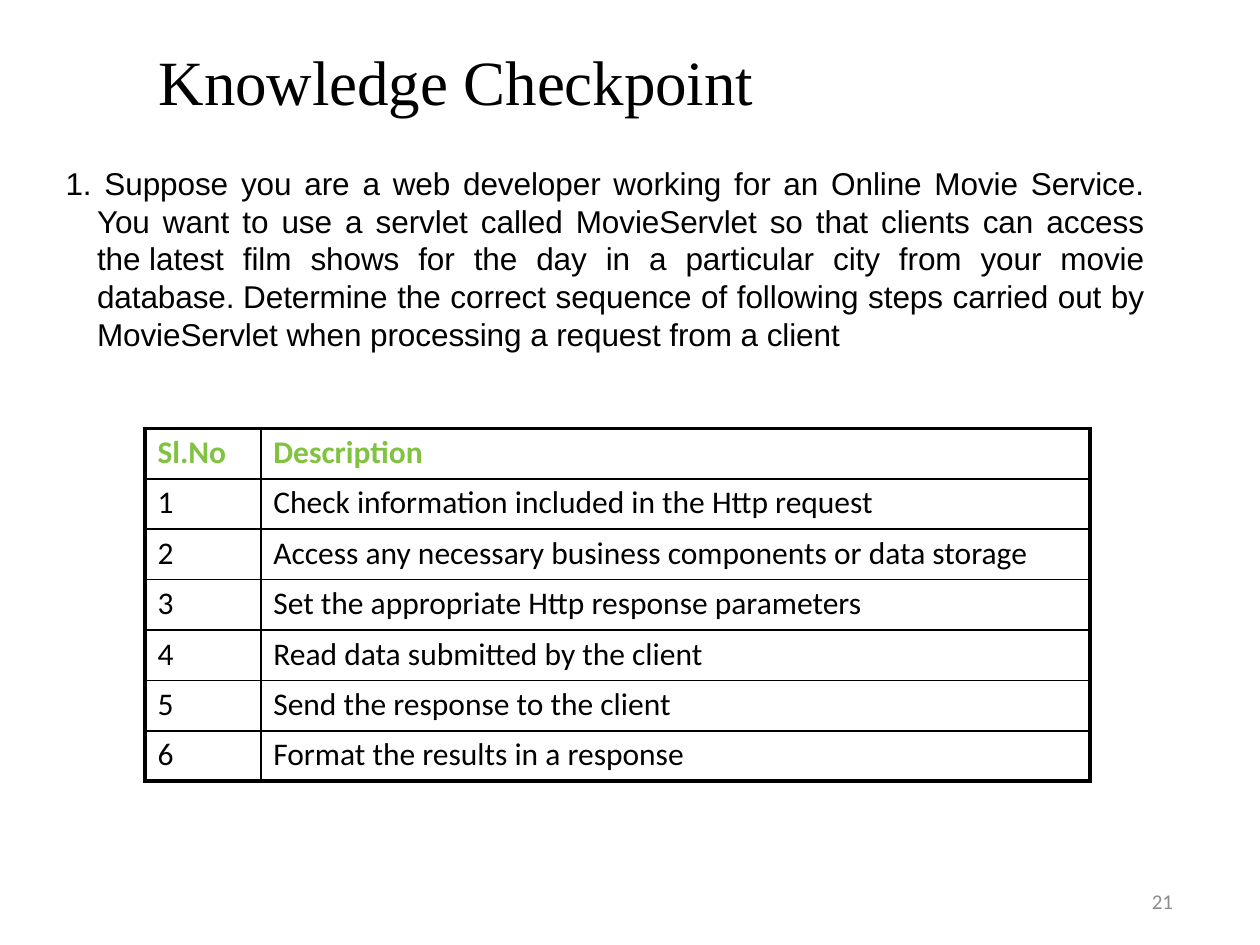
from pptx import Presentation
from pptx.dml.color import RGBColor
from pptx.enum.text import MSO_ANCHOR, PP_ALIGN
from pptx.oxml.ns import qn
from pptx.util import Inches, Pt
from lxml import etree

LEFT, RIGHT, JUSTIFY = PP_ALIGN.LEFT, PP_ALIGN.RIGHT, PP_ALIGN.JUSTIFY
TOP, MIDDLE = MSO_ANCHOR.TOP, MSO_ANCHOR.MIDDLE
TITLE_ONLY = 5

BLACK, GREEN, GREY = "000000", "81C240", "8C8C8C"
THICK, THIN = 2.25, 1
TIGHT = -0.05
NO_BREAK_SPACE = chr(160)

# No-break spaces keep the justified lines breaking before "the" and "database."
QUESTION = (
    "1. Suppose you are a web developer working for an Online Movie Service. "
    "You want to use a servlet called MovieServlet so that clients can access "
    f"the{NO_BREAK_SPACE}latest film shows for the day in a particular city from your movie "
    f"database.{NO_BREAK_SPACE}Determine the correct sequence of following steps carried out by "
    "MovieServlet when processing a request from a client"
)
STEPS = [
    "Check information included in the Http request",
    "Access any necessary business components or data storage",
    "Set the appropriate Http response parameters",
    "Read data submitted by the client",
    "Send the response to the client",
    "Format the results in a response",
]
COLUMN_WIDTHS = (0.92, 6.58)
ROW_HEIGHT = 0.4


def color(value):
    return RGBColor.from_string(value)


def add_run(paragraph, text, size, font_name, font_color, bold=False, spacing=TIGHT):
    """Add formatted text; spacing is the extra letter spacing in points."""
    run = paragraph.add_run()
    run.text = text
    run.font.size = Pt(size)
    run.font.name = font_name
    run.font.bold = bold
    run.font.color.rgb = color(font_color)
    run._r.get_or_add_rPr().set("spc", str(round(spacing * 100)))


def place(shape, left, top, width, height):
    shape.left, shape.top = Inches(left), Inches(top)
    shape.width, shape.height = Inches(width), Inches(height)


def prepare_text(shape, anchor, alignment):
    """Set up the text frame without margins and return its first paragraph."""
    frame = shape.text_frame
    frame.word_wrap = True
    frame.vertical_anchor = anchor
    frame.margin_left = frame.margin_right = frame.margin_bottom = 0
    frame.margin_top = Inches(0.01)
    paragraph = frame.paragraphs[0]
    paragraph.alignment = alignment
    return paragraph


def add_title(slide, text):
    title = slide.shapes.title
    place(title, 1.26, 0.34, 5.24, 0.59)
    paragraph = prepare_text(title, MIDDLE, LEFT)
    add_run(paragraph, text, 36, "Times New Roman", BLACK)


def add_text_box(slide, position, anchor, alignment):
    box = slide.shapes.add_textbox(*map(Inches, position))
    return prepare_text(box, anchor, alignment)


def add_question(slide):
    paragraph = add_text_box(slide, (0.5, 1.29, 8.58, 1.53), TOP, JUSTIFY)
    properties = paragraph._p.get_or_add_pPr()
    properties.set("marL", str(Inches(0.27)))
    properties.set("indent", str(Inches(-0.25)))
    add_run(paragraph, QUESTION, 18, "Arial", BLACK)


def set_borders(cell, widths):
    """Draw black borders; widths are points for left, right, top, bottom."""
    properties = cell._tc.get_or_add_tcPr()
    for index, (side, width) in enumerate(zip("LRTB", widths)):
        line = etree.Element(qn(f"a:ln{side}"), w=str(Pt(width)))
        fill = etree.SubElement(line, qn("a:solidFill"))
        etree.SubElement(fill, qn("a:srgbClr"), val=BLACK)
        properties.insert(index, line)


def fill_cell(cell, text, is_header):
    cell.fill.background()
    cell.margin_left, cell.margin_top = Inches(0.1), Inches(0.04)
    cell.margin_right = cell.margin_bottom = 0
    font_color = GREEN if is_header else BLACK
    paragraph = cell.text_frame.paragraphs[0]
    add_run(paragraph, text, 18, "Calibri", font_color, is_header, spacing=0)


def add_steps_table(slide):
    rows = [("Sl.No", "Description")]
    rows += [(str(number), step) for number, step in enumerate(STEPS, 1)]
    frame = slide.shapes.add_table(
        len(rows), len(COLUMN_WIDTHS), Inches(1.15), Inches(3.4),
        Inches(sum(COLUMN_WIDTHS)), Inches(ROW_HEIGHT * len(rows)),
    )
    table = frame.table
    table.first_row = table.horz_banding = False
    for column, width in zip(table.columns, COLUMN_WIDTHS):
        column.width = Inches(width)
    last_row, last_column = len(rows) - 1, len(COLUMN_WIDTHS) - 1
    for row_index, row in enumerate(rows):
        table.rows[row_index].height = Inches(ROW_HEIGHT)
        for column_index, text in enumerate(row):
            cell = table.cell(row_index, column_index)
            fill_cell(cell, text, row_index == 0)
            on_edge = (column_index == 0, column_index == last_column,
                       row_index == 0, row_index == last_row)
            set_borders(cell, [THICK if outer else THIN for outer in on_edge])


def add_slide_number(slide, number):
    paragraph = add_text_box(slide, (7.06, 6.95, 2.25, 0.4), MIDDLE, RIGHT)
    add_run(paragraph, number, 12, "Calibri", GREY)


def main():
    presentation = Presentation()
    presentation.slide_width, presentation.slide_height = Inches(10), Inches(7.5)
    slide = presentation.slides.add_slide(presentation.slide_layouts[TITLE_ONLY])
    add_title(slide, "Knowledge Checkpoint")
    add_question(slide)
    add_steps_table(slide)
    add_slide_number(slide, "21")
    presentation.save("out.pptx")


if __name__ == "__main__":
    main()
